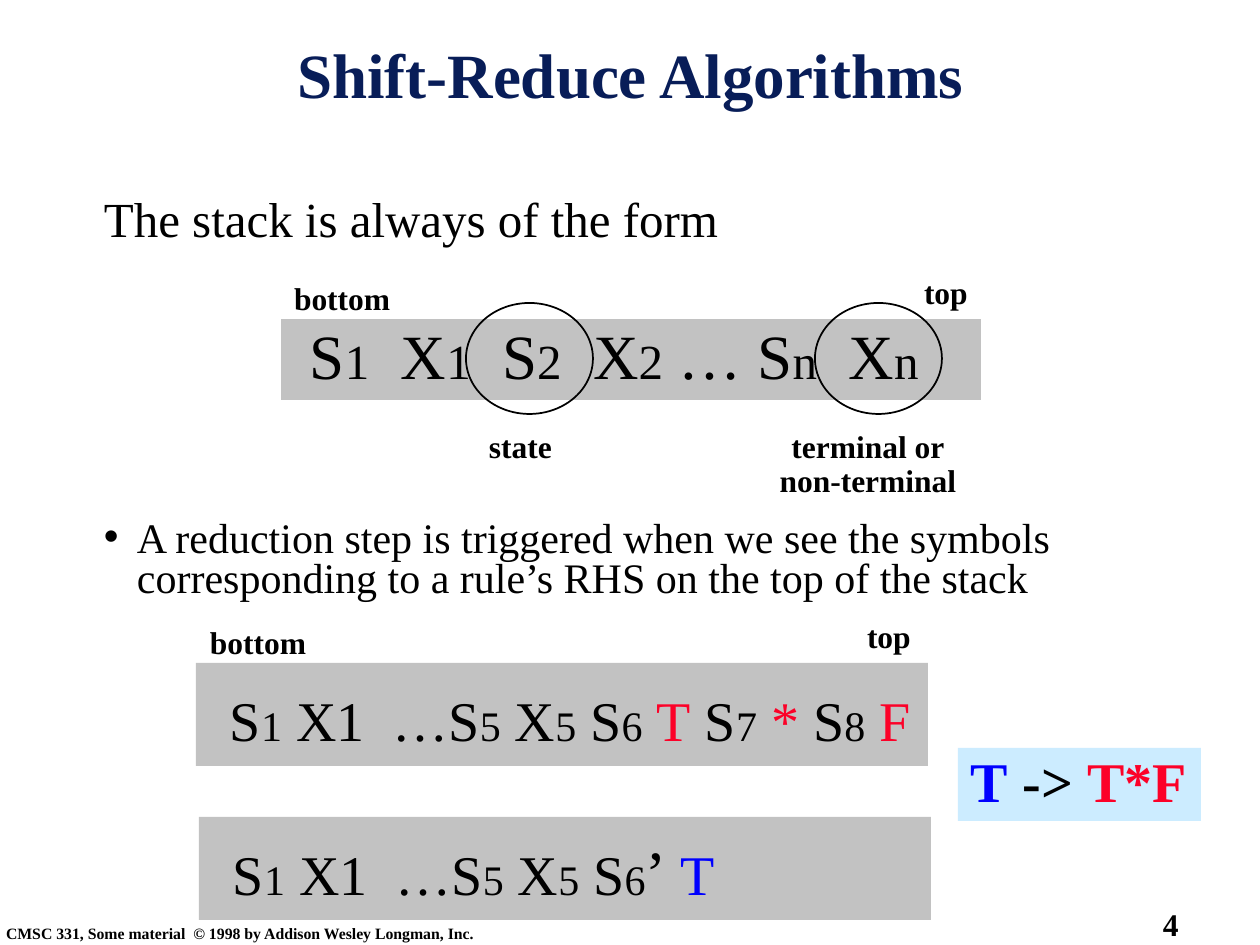
"""Build the slide on the stack in shift-reduce algorithms."""
from lxml.etree import SubElement
from pptx import Presentation
from pptx.dml.color import RGBColor
from pptx.enum.shapes import MSO_SHAPE
from pptx.enum.text import MSO_ANCHOR, MSO_AUTO_SIZE, PP_ALIGN
from pptx.oxml.ns import qn
from pptx.util import Pt

PX = 914400 / 126
FONT = "Times New Roman"
BLACK = RGBColor(0x00, 0x00, 0x00)
NAVY = RGBColor(0x08, 0x1D, 0x58)
RED = RGBColor(0xFC, 0x01, 0x28)
BLUE = RGBColor(0x00, 0x00, 0xFF)
GRAY = RGBColor(0xC2, 0xC2, 0xC2)
PALE_BLUE = RGBColor(0xCC, 0xEC, 0xFF)

INSET = (13, 6)
SLIM_INSET = (6, 3)
HANGING = 33

TITLE = ((289, 33, 683, 81), "Shift-Reduce Algorithms")
INTRO = ((91, 189, 1080, 83), "The stack is always of the form")
REDUCTION = (
    (91, 515, 1080, 101),
    "A reduction step is triggered when we see the symbols "
    "corresponding to a rule’s RHS on the top of the stack",
)
FOOTERS = [
    ((0, 921, 853, 24), "CMSC 331, Some material  © 1998 by Addison Wesley Longman, Inc.", 9),
    ((1157, 902, 103, 43), "4", 18),
]
LABELS = [
    ((281, 277, 121, 47), "bottom"),
    ((911, 271, 68, 47), "top"),
    ((476, 425, 88, 47), "state"),
    ((767, 425, 202, 81), "terminal or\nnon-terminal"),
    ((197, 621, 121, 47), "bottom"),
    ((854, 615, 68, 47), "top"),
]
CIRCLES = [(466, 303, 127, 111), (815, 303, 127, 111)]

FORM_PAIRS = [("S", "1"), ("  X", "1"), ("  S", "2"), ("  X", "2"), (" … S", "n"), ("  X", "n")]
STACK_PAIRS = [("S", "1"), (" X1  …S", "5"), (" X", "5"), (" S", "6")]


def indexed(pairs, size, index_size):
    return [
        (text, text_size, BLACK, False)
        for pair in pairs
        for text, text_size in zip(pair, (size, index_size))
    ]


def plain(text, color=BLACK):
    return (text, 32, color, False)


STACK_START = [(" ", 48, BLACK, True)] + indexed(STACK_PAIRS, 32, 24)
BARS = [
    ((281, 319, 700, 81), GRAY, [(" ", 36, BLACK, True)] + indexed(FORM_PAIRS, 36, 28)),
    (
        (196, 663, 732, 103),
        GRAY,
        STACK_START
        + [plain(" "), plain("T", RED)]
        + indexed([(" S", "7")], 32, 24)
        + [plain(" "), plain("*", RED)]
        + indexed([(" S", "8")], 32, 24)
        + [plain(" "), plain("F", RED)],
    ),
    (
        (958, 748, 243, 73),
        PALE_BLUE,
        [("T", 32, BLUE, True), (" -> ", 32, BLACK, True), ("T*F", 32, RED, True)],
    ),
    (
        (199, 817, 732, 103),
        GRAY,
        STACK_START + [("’", 36, BLACK, False), plain(" "), plain("T", BLUE)],
    ),
]


def emu(box):
    return [round(value * PX) for value in box]


def write(shape, runs, inset=INSET, align=PP_ALIGN.LEFT, spacing=0.9, wrap=True):
    frame = shape.text_frame
    frame.auto_size = MSO_AUTO_SIZE.NONE
    frame.word_wrap = wrap
    frame.vertical_anchor = MSO_ANCHOR.TOP
    frame.margin_left = frame.margin_right = round(inset[0] * PX)
    frame.margin_top = frame.margin_bottom = round(inset[1] * PX)
    paragraph = frame.paragraphs[0]
    paragraph.alignment = align
    paragraph.line_spacing = spacing
    paragraph.space_before = Pt(0)
    for text, size, color, bold in runs:
        for number, line in enumerate(text.split("\n")):
            if number:
                paragraph.add_line_break()
            run = paragraph.add_run()
            run.text = line
            run.font.name = FONT
            run.font.size = Pt(size)
            run.font.color.rgb = color
            run.font.bold = bold
    return paragraph


def place(shape, box):
    shape.left, shape.top, shape.width, shape.height = emu(box)
    return shape


def set_bullet(paragraph, character=None):
    properties = paragraph._p.get_or_add_pPr()
    properties.set("marL", str(round(HANGING * PX) if character else 0))
    properties.set("indent", str(-round(HANGING * PX) if character else 0))
    if character:
        SubElement(properties, qn("a:buChar")).set("char", character)
    else:
        SubElement(properties, qn("a:buNone"))


def add_shape(slide, kind, box):
    shape = slide.shapes.add_shape(kind, *emu(box))
    shape.shadow.inherit = False
    return shape


def main():
    presentation = Presentation()
    presentation.slide_width, presentation.slide_height = emu((1260, 945))
    slide = presentation.slides.add_slide(presentation.slide_layouts[3])
    title, intro, reduction = slide.placeholders

    box, text = TITLE
    write(place(title, box), [(text, 36, NAVY, True)], SLIM_INSET, PP_ALIGN.CENTER, 1.0, False)
    box, text = INTRO
    set_bullet(write(place(intro, box), [(text, 28, BLACK, False)]))
    box, text = REDUCTION
    set_bullet(write(place(reduction, box), [(text, 24, BLACK, False)], spacing=0.8), "•")

    for box, text, size in FOOTERS:
        footer = slide.shapes.add_textbox(*emu(box))
        write(footer, [(text, size, BLACK, True)], SLIM_INSET, spacing=1.0)

    for box, color, runs in BARS:
        bar = add_shape(slide, MSO_SHAPE.RECTANGLE, box)
        bar.fill.solid()
        bar.fill.fore_color.rgb = color
        bar.line.fill.background()
        write(bar, runs)

    for box, text in LABELS:
        label = slide.shapes.add_textbox(*emu(box))
        align = PP_ALIGN.CENTER if "\n" in text else PP_ALIGN.LEFT
        write(label, [(text, 18, BLACK, True)], align=align, wrap=False)

    for box in CIRCLES:
        circle = add_shape(slide, MSO_SHAPE.OVAL, box)
        circle.fill.background()
        circle.line.color.rgb = BLACK
        circle.line.width = Pt(1)

    presentation.save("out.pptx")


if __name__ == "__main__":
    main()
